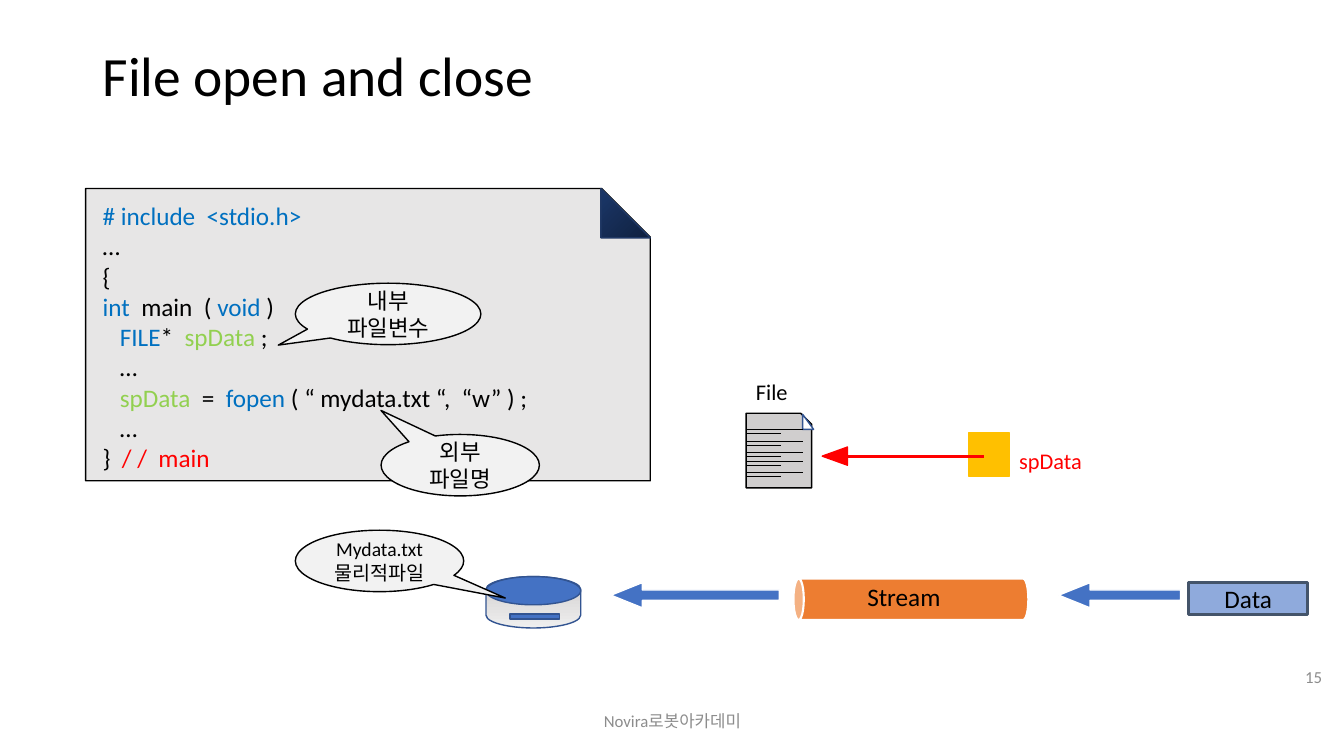
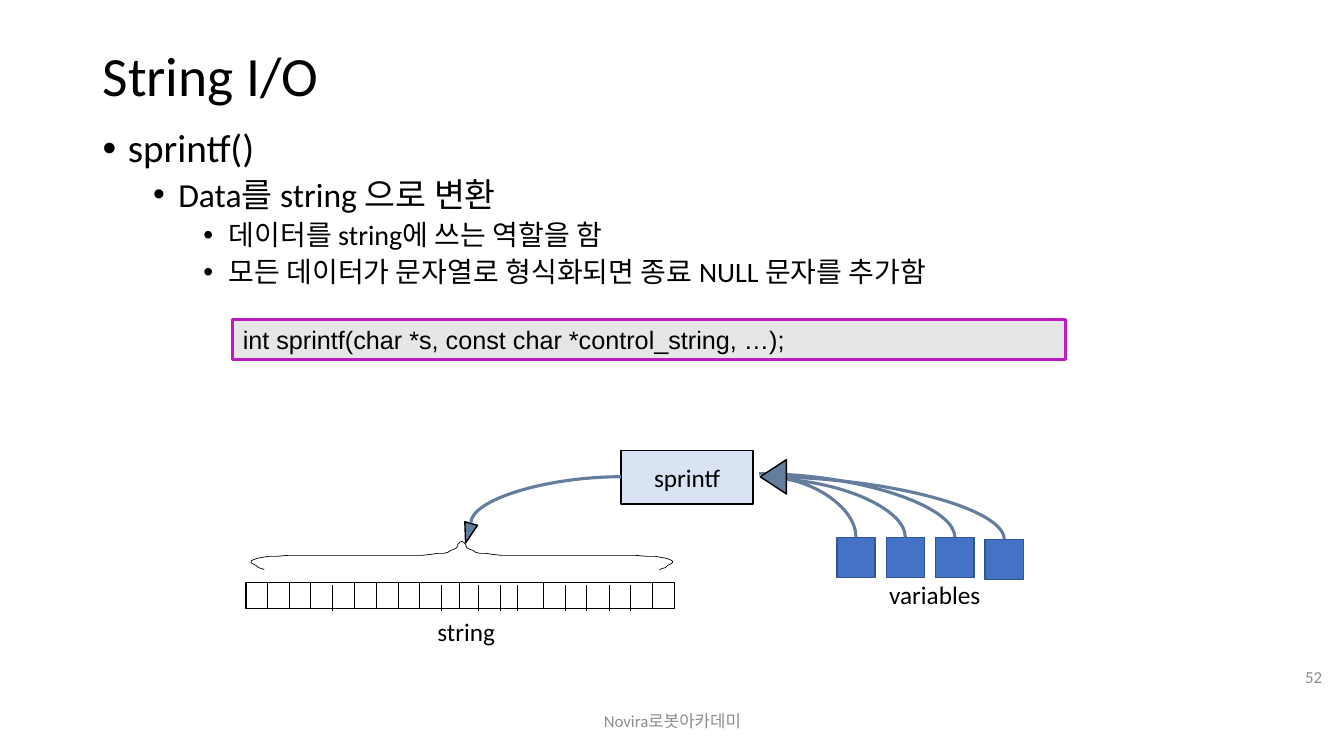
from lxml.etree import SubElement
from pptx import Presentation
from pptx.dml.color import RGBColor
from pptx.enum.shapes import MSO_CONNECTOR as LINK, MSO_SHAPE as KIND
from pptx.enum.text import MSO_ANCHOR as ANCHOR, PP_ALIGN as ALIGN
from pptx.oxml.ns import qn
from pptx.util import Pt

PX = 9144
FONT = "Calibri"
HUE = {
    "black": "000000", "white": "FFFFFF", "gray": "8C8C8C", "paper": "E7E6E6",
    "sheet": "D0CECE", "bubble": "F2F2F2", "blue": "4472C4", "edge": "325491",
    "navy": "203864", "fold": "1B3769", "dark": "10213F", "word": "0070C0",
    "name": "92D050", "red": "FF0000", "gold": "FFC000", "orange": "ED7D31",
    "pale": "8FAADC", "slate": "44546A", "ice": "DAE3F3", "steel": "657D9D",
    "pink": "BC1CC0", "ash": "CFCCCC", "light": "EFEFEF",
}
CODE = [
    (0, [("# include  <stdio.h>", "word")]),
    (0, [("…", "black")]),
    (0, [("{", "black")]),
    (0, [("int", "word"), ("  main  ( ", "black"), ("void", "word"), (" )", "black")]),
    (1, [("FILE", "word"), ("*  ", "black"), ("spData", "name"), (" ;", "black")]),
    (1, [("…", "black")]),
    (1, [("spData", "name"), ("  =  ", "black"), ("fopen", "word"),
         (" ( “ mydata.txt “,  “w” ) ;", "black")]),
    (1, [("…", "black")]),
    (0, [("}  ", "black"), ("/ /  main", "red")]),
]
POINTS = [
    (0, "sprintf()", 28),
    (1, "Data를 string 으로 변환", 24),
    (2, "데이터를 string에 쓰는 역할을 함", 20),
    (2, "모든 데이터가 문자열로 형식화되면 종료 NULL 문자를 추가함", 20),
]


def px(*nums):
    return [round(num * PX) for num in nums]


def rgb(hue):
    return RGBColor.from_string(HUE[hue])


def style(runs, size, hue, font=FONT):
    for run in runs:
        run.font.size = Pt(size)
        run.font.name = font
        run.font.color.rgb = rgb(hue)


def write(item, text, size, hue="black", align=ALIGN.LEFT,
          anchor=ANCHOR.TOP, font=FONT):
    frame = item.text_frame
    frame.word_wrap = True
    frame.vertical_anchor = anchor
    frame.text = text
    for para in frame.paragraphs:
        para.alignment = align
        style(para.runs, size, hue, font)
    return frame


def label(slide, box, text, size, *args, **opts):
    return write(slide.shapes.add_textbox(*px(*box)), text, size, *args, **opts)


def stroke(line, hue, width):
    line.color.rgb = rgb(hue)
    line.width = Pt(width)


def shape(slide, kind, box, fill, edge, width=1, adj=(), turn=0):
    item = slide.shapes.add_shape(kind, *px(*box))
    item.shadow.inherit = False
    item.rotation = turn
    for num, value in enumerate(adj):
        item.adjustments[num] = value
    if isinstance(fill, tuple):
        start, end, angle = fill
        item.fill.gradient()
        item.fill.gradient_angle = angle
        for stop, hue in zip(item.fill.gradient_stops, (start, end)):
            stop.color.rgb = rgb(hue)
    else:
        item.fill.solid()
        item.fill.fore_color.rgb = rgb(fill)
    stroke(item.line, edge, width)
    return item


def center(item, text, size):
    write(item, text, size, align=ALIGN.CENTER, anchor=ANCHOR.MIDDLE)


def link(slide, ends, hue="black", width=0.5, curve=False):
    item = slide.shapes.add_connector(
        LINK.CURVE if curve else LINK.STRAIGHT, *px(*ends))
    stroke(item.line, hue, width)
    props = item._element.spPr
    if curve:
        props.find(qn("a:prstGeom")).set("prst", "curvedConnector2")
    SubElement(props, qn("a:effectLst"))


def base(deck, title, page):
    slide = deck.slides.add_slide(deck.slide_layouts[6])
    head = label(slide, (92, 40, 1150, 75), title, 39.6, anchor=ANCHOR.MIDDLE)
    head.paragraphs[0].line_spacing = 0.9
    label(slide, (442, 695, 450, 40), "Novira로봇아카데미", 12, "gray",
          ALIGN.CENTER, ANCHOR.MIDDLE)
    label(slide, (1259, 651, 62, 40), page, 12, "gray",
          ALIGN.RIGHT, ANCHOR.MIDDLE)
    return slide


def bubble(slide, box, tip, text, size=16):
    item = shape(slide, KIND.OVAL_CALLOUT, box, "bubble", "black", adj=tip)
    center(item, text, size)


def code(slide, x, y, w, h):
    shape(slide, KIND.SNIP_1_RECTANGLE, (x, y, w, h), "paper", "black")
    shape(slide, KIND.RIGHT_TRIANGLE, (x + w - 49, y, 49, 49),
          ("fold", "dark", 315), "navy")
    frame = label(slide, (x + 7, y + 7, w - 16, h - 7), "", 18)
    for num, (level, parts) in enumerate(CODE):
        para = frame.add_paragraph() if num else frame.paragraphs[0]
        para._p.get_or_add_pPr().set("marL", str(level * 17 * PX))
        for text, hue in parts:
            run = para.add_run()
            run.text = text
            style([run], 18, hue)
    bubble(slide, (x + 208, y + 94, 184, 61), (-0.592, 0.507), "내부 파일변수")
    bubble(slide, (x + 293, y + 244, 157, 61), (-0.501, -0.891), "외부 파일명")


def disk(slide, x, y, w, h):
    shape(slide, KIND.CAN, (x, y, w, h), ("ash", "light", 270), "edge", adj=[0.5])
    shape(slide, KIND.OVAL, (x, y, w, 28), "blue", "edge")
    shape(slide, KIND.RECTANGLE, (x + 24, y + 37, 49, 5), "blue", "edge")
    bubble(slide, (x - 189, y - 46, 167, 61), (0.747, 0.604),
           "Mydata.txt\n물리적파일", 14)


def flow(slide, x, y):
    for left, wide in ((0, 167), (444, 121)):
        shape(slide, KIND.LEFT_ARROW, (x + left, y, wide, 25), "blue", "white",
              adj=(0.417, 1.243))
    shape(slide, KIND.CAN, (x + 277, y - 100, 41, 233), "orange", "white", 1.5,
          turn=270)
    label(slide, (x + 195, y - 6, 191, 40), "Stream", 18, align=ALIGN.CENTER)
    data = shape(slide, KIND.RECTANGLE, (x + 573, y, 118, 32), "pale", "slate", 2.25)
    center(data, "Data", 18)


def sheet(slide, x, y, w, h):
    shape(slide, KIND.SNIP_1_RECTANGLE, (x, y, w, h), "sheet", "black")
    shape(slide, KIND.RIGHT_TRIANGLE, (x + w - 9, y + 1, 11, 15), "white", "edge")
    for row in (16, 28, 39, 48, 59):
        for gap, wide in ((0, 56), (4, 35)):
            top = y + row + gap
            link(slide, (x, top, x + wide, top))
    label(slide, (x, y - 40, 113, 37), "File", 16)


def handle(slide, x, y):
    shape(slide, KIND.RECTANGLE, (x + 142, y - 24, 40, 44), "gold", "gold")
    shape(slide, KIND.ISOSCELES_TRIANGLE, (x, y - 13, 18, 25), "red", "red", turn=270)
    link(slide, (x + 21, y, x + 157, y), "red", 2.25)
    label(slide, (x + 182, y - 14, 113, 37), "spData", 16, "red")


def points(slide, box):
    frame = label(slide, box, "\n".join(text for _, text, _ in POINTS), 20)
    for para, (level, _, size) in zip(frame.paragraphs, POINTS):
        para.level = level
        para.line_spacing = 0.9
        para.space_before = Pt(5 if level else 10)
        style(para.runs, size, "black")
        props = para._p.get_or_add_pPr()
        props.set("marL", str((25 + 50 * level) * PX))
        props.set("indent", str(-25 * PX))
        SubElement(props, qn("a:buFont")).set("typeface", "Arial")
        SubElement(props, qn("a:buChar")).set("char", "•")


def curve(a, b, c, d):
    for num in range(1, 13):
        t = num / 12
        s = 1 - t
        yield tuple(s**3 * i + 3 * s * s * t * j + 3 * s * t * t * k + t**3 * m
                    for i, j, k, m in zip(a, b, c, d))


def brace(slide, x, y):
    path = [(196, 28), (208, 23), (219, 18), (192, 15), (164, 13), (63, 16),
            (31, 13), (-1, 11), (8, 3), (0, 0)]
    for side in (1, -1):
        dots = [(x + side * i, y + j) for i, j in path]
        pen = slide.shapes.build_freeform(*dots[0], scale=PX)
        for at in (0, 3, 6):
            pen.add_line_segments(list(curve(*dots[at:at + 4])), close=False)
        item = pen.convert_to_shape()
        item.shadow.inherit = False
        item.fill.background()
        stroke(item.line, "black", 0.5)


def cells(slide, x, y, w, h):
    shape(slide, KIND.RECTANGLE, (x, y, w, h), "white", "black")
    ticks = [round(21 + 21.6 * num) for num in range(9)]
    ticks += [212, 230, 252, 269]
    ticks += [round(295 + 21.6 * num) for num in range(6)]
    low = {4, 9, 11, 12, 13, 15, 16, 17, 18}
    for num, left in enumerate(ticks, 1):
        top = y + 2 * (num in low)
        link(slide, (x + left, top, x + left, top + h))
    brace(slide, x + 214, y - 41)
    label(slide, (x + 180, y + 29, 120, 40), "string", 18)


def call(slide, x, y, w, h):
    item = shape(slide, KIND.RECTANGLE, (x, y, w, h), "ice", "black")
    center(item, "sprintf", 18)
    shape(slide, KIND.ISOSCELES_TRIANGLE, (x - 158, y + 72, 13, 20),
          "steel", "black", turn=196)
    link(slide, (x, y + 26, x - 149, y + 72), "steel", 2.25, True)
    starts = ((143, 26), (146, 28), (137, 23), (142, 26))
    for num, (left, top) in enumerate(starts):
        spot = x + 214 + 49 * num
        drop = y + (88 if num == 3 else 86)
        shape(slide, KIND.RECTANGLE, (spot, drop, 38, 40), "blue", "edge")
        link(slide, (x + left, y + top, spot + 19, drop), "steel", 2.25, True)
    label(slide, (x + 256, y + 123, 120, 40), "variables", 18)
    shape(slide, KIND.ISOSCELES_TRIANGLE, (x + 134, y + 13, 34, 26),
          "steel", "black", turn=270)


def files(deck):
    slide = base(deck, "File open and close", "15")
    code(slide, 85, 187, 560, 290)
    disk(slide, 482, 572, 94, 51)
    flow(slide, 606, 578)
    sheet(slide, 740, 410, 65, 74)
    handle(slide, 819, 453)


def strings(deck):
    slide = base(deck, "String I/O", "52")
    points(slide, (92, 123, 1150, 553))
    form = shape(slide, KIND.RECTANGLE, (231, 317, 826, 40), "paper", "pink", 2.25)
    write(form, "int sprintf(char *s, const char *control_string, …);", 18, font="Arial")
    cells(slide, 244, 578, 425, 26)
    call(slide, 616, 447, 131, 53)


def main():
    deck = Presentation()
    deck.slide_width, deck.slide_height = px(1333, 750)
    files(deck)
    strings(deck)
    deck.save("out.pptx")


if __name__ == "__main__":
    main()
